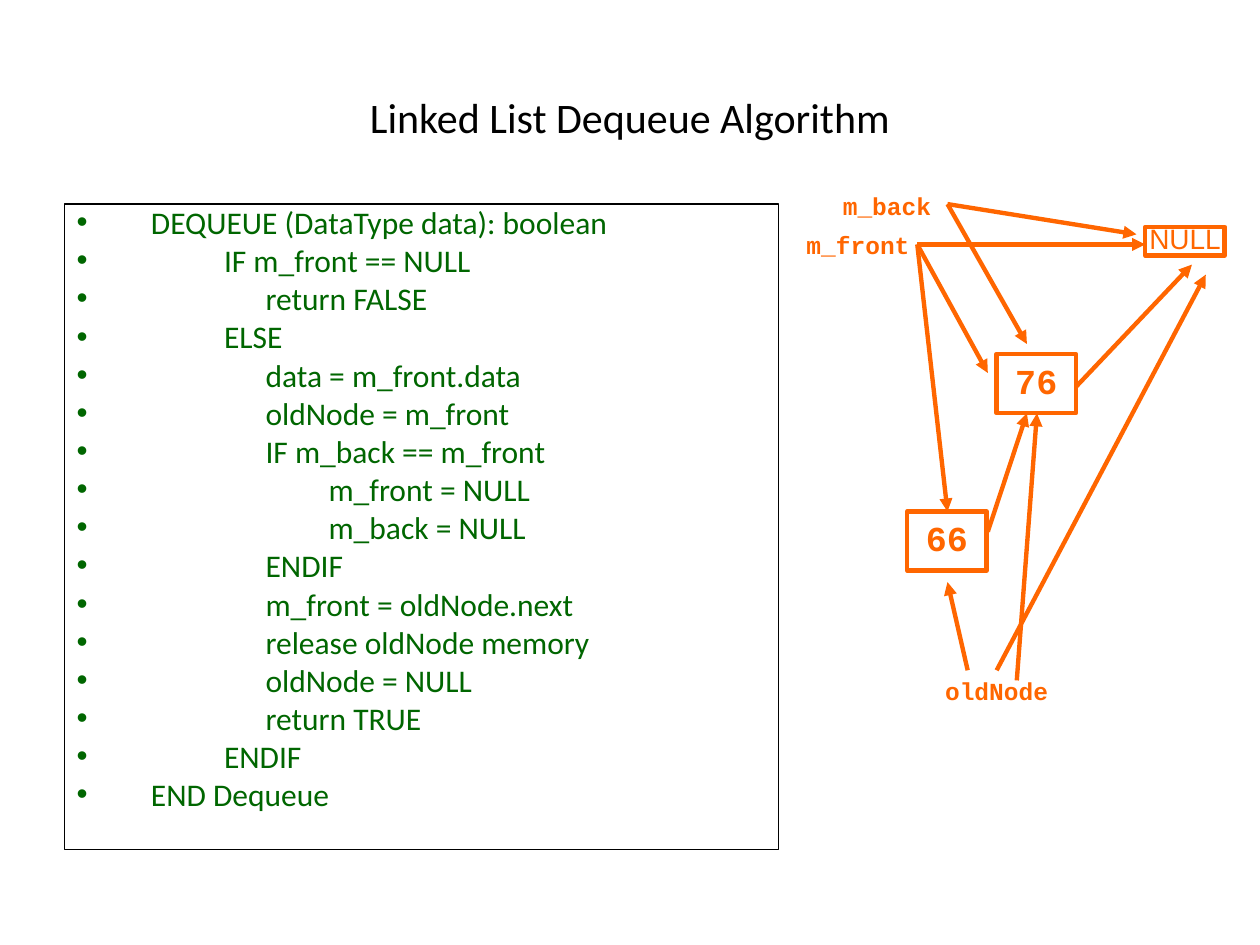
from lxml.etree import SubElement
from pptx import Presentation
from pptx.dml.color import RGBColor
from pptx.enum.shapes import MSO_CONNECTOR as Connector, MSO_SHAPE as Shape
from pptx.enum.text import MSO_ANCHOR as Anchor, PP_ALIGN as Align
from pptx.oxml.ns import qn
from pptx.util import Inches, Pt

BLACK = RGBColor(0x00, 0x00, 0x00)
WHITE = RGBColor(0xFF, 0xFF, 0xFF)
GREEN = RGBColor(0x00, 0x66, 0x00)
ORANGE = RGBColor(0xFF, 0x66, 0x00)

# Text indent in inches for each nesting level of the algorithm
LEVEL_INDENTS = (0.59, 1.17, 1.5, 2.0)
ALGORITHM = (
    (0, "DEQUEUE (DataType data): boolean"),
    (1, "IF m_front == NULL"),
    (2, "return FALSE"),
    (1, "ELSE"),
    (2, "data = m_front.data"),
    (2, "oldNode = m_front"),
    (2, "IF m_back == m_front"),
    (3, "m_front = NULL"),
    (3, "m_back = NULL"),
    (2, "ENDIF"),
    (2, "m_front = oldNode.next"),
    (2, "release oldNode memory"),
    (2, "oldNode = NULL"),
    (2, "return TRUE"),
    (1, "ENDIF"),
    (0, "END Dequeue"),
)

# Diagram parts, in inches from the diagram's top left corner
LABEL_SIZE = (0.94, 0.2)
NODE_SIZE = (0.63, 0.47)
LABELS = (("m_front", 0.04, 0.36), ("m_back", 0.27, 0.05), ("oldNode", 1.14, 3.9))
NODES = (("66", 0.9, 2.56), ("76", 1.61, 1.31))
FRONT = (0.98, 0.44)
BACK = (1.22, 0.12)
ARROWS = (
    (FRONT, (2.79, 0.44)),
    (FRONT, (1.54, 1.46)),
    (FRONT, (1.22, 2.56)),
    (BACK, (2.72, 0.36)),
    (BACK, (1.85, 1.23)),
    ((1.54, 2.72), (1.85, 1.78)),  # 66 to 76
    ((2.24, 1.57), (3.16, 0.6)),  # 76 to NULL
    ((1.38, 3.82), (1.22, 3.12)),  # oldNode to 66
    ((1.77, 3.9), (1.93, 1.78)),  # oldNode to 76
    ((1.61, 3.82), (3.27, 0.68)),  # oldNode to NULL
)


def add_box(slide, left, top, width, height, fill=None, line=None, line_width=2.5):
    box = slide.shapes.add_shape(
        Shape.RECTANGLE, Inches(left), Inches(top), Inches(width), Inches(height))
    box.shadow.inherit = False
    if fill is None:
        box.fill.background()
    else:
        box.fill.solid()
        box.fill.fore_color.rgb = fill
    if line is None:
        box.line.fill.background()
    else:
        box.line.color.rgb = line
        box.line.width = Pt(line_width)
    return box


def write(paragraph, text, font="Calibri", size=18, color=BLACK, bold=False,
          align=Align.LEFT, spacing=1.0, before=0):
    paragraph.alignment = align
    paragraph.line_spacing = spacing
    paragraph.space_before = Pt(before)
    run = paragraph.add_run()
    run.text = text
    run.font.name = font
    run.font.size = Pt(size)
    run.font.bold = bold
    run.font.color.rgb = color


def set_bullet(paragraph, indent, color):
    properties = paragraph._p.get_or_add_pPr()
    properties.set("marL", str(Inches(indent)))
    properties.set("indent", str(-Inches(indent)))
    bullet_color = SubElement(properties, qn("a:buClr"))
    SubElement(bullet_color, qn("a:srgbClr")).set("val", str(color))
    SubElement(properties, qn("a:buFont")).set("typeface", "Arial")
    SubElement(properties, qn("a:buChar")).set("char", "•")


def add_title(slide, left, top, width, height):
    title = slide.shapes.add_textbox(
        Inches(left), Inches(top), Inches(width), Inches(height))
    frame = title.text_frame
    frame.word_wrap = True
    frame.vertical_anchor = Anchor.MIDDLE
    write(frame.paragraphs[0], "Linked List Dequeue Algorithm", size=24,
          align=Align.CENTER)


def add_algorithm(slide, left, top, width, height):
    panel = add_box(slide, left, top, width, height, line=BLACK, line_width=0.75)
    frame = panel.text_frame
    frame.word_wrap = True
    frame.vertical_anchor = Anchor.TOP
    for number, (level, statement) in enumerate(ALGORITHM):
        paragraph = frame.add_paragraph() if number else frame.paragraphs[0]
        set_bullet(paragraph, LEVEL_INDENTS[level], GREEN)
        write(paragraph, statement, color=GREEN, spacing=0.8,
              before=4.5 if number else 0)


def add_caption(box, text, anchor=Anchor.MIDDLE, wrap=True, **text_format):
    frame = box.text_frame
    frame.margin_left = frame.margin_right = 0
    frame.margin_top = frame.margin_bottom = 0
    frame.word_wrap = wrap
    frame.vertical_anchor = anchor
    write(frame.paragraphs[0], text, color=ORANGE, align=Align.CENTER,
          spacing=0.85, **text_format)


def add_arrow(slide, start, end):
    arrow = slide.shapes.add_connector(
        Connector.STRAIGHT, *(Inches(value) for value in (*start, *end)))
    arrow.line.color.rgb = ORANGE
    arrow.line.width = Pt(2.5)
    SubElement(arrow.line._get_or_add_ln(), qn("a:tailEnd")).set("type", "triangle")
    SubElement(arrow._element.spPr, qn("a:effectLst"))


def add_diagram(slide, left, top):
    # Pointer names
    for name, x, y in LABELS:
        label = add_box(slide, left + x, top + y, *LABEL_SIZE, fill=WHITE)
        add_caption(label, name, anchor=Anchor.TOP, font="Courier New", size=14,
                    bold=True)
    # End of the list
    null = add_box(slide, left + 2.79, top + 0.3, 0.63, 0.23, line=ORANGE)
    add_caption(null, "NULL", font="Arial", size=16)
    # List nodes
    for value, x, y in NODES:
        node = add_box(slide, left + x, top + y, *NODE_SIZE, fill=WHITE, line=ORANGE)
        add_caption(node, value, wrap=False, font="Courier New", size=20, bold=True)
    # Pointers
    for start, end in ARROWS:
        add_arrow(slide, *((left + x, top + y) for x, y in (start, end)))


def main():
    deck = Presentation()
    deck.slide_width, deck.slide_height = Inches(10), Inches(7.5)
    slide = deck.slides.add_slide(deck.slide_layouts[6])
    add_title(slide, 0.5, 0.3, 9, 1.25)
    add_algorithm(slide, 0.51, 1.62, 5.67, 5.12)
    add_diagram(slide, 6.3, 1.5)
    deck.save("out.pptx")


if __name__ == "__main__":
    main()
